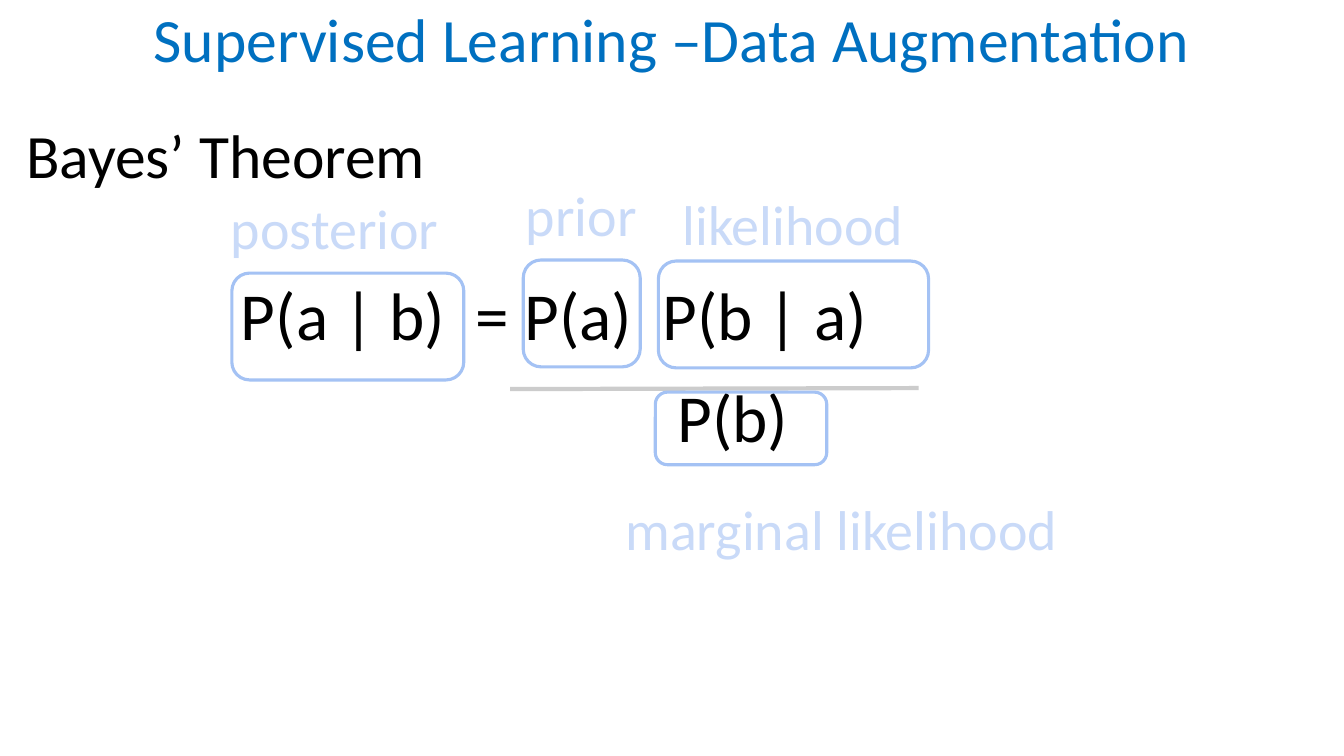
from lxml.etree import SubElement
from pptx import Presentation
from pptx.dml.color import RGBColor
from pptx.enum.shapes import MSO_CONNECTOR, MSO_SHAPE
from pptx.enum.text import MSO_ANCHOR, PP_ALIGN
from pptx.oxml.ns import qn
from pptx.util import Inches, Pt

# Content: left, top, width, height in inches
TITLE = ("Supervised Learning –Data Augmentation", (0.38, -0.01, 12.57, 0.77))
HEADING = ("Bayes’ Theorem", (0.13, 1.11, 12.42, 0.84))
FORMULA_AREA = (1.59, 1.57, 11.51, 4.98)
FORMULA = [  # text, tab stops from the start of the formula
    ("P(a | b)\t= P(a)\tP(b | a)", (2.33, 4.18)),
    ("\tP(b)", (4.33,)),
]
FRACTION_BAR = (5.06, 3.86, 9.11, 3.85)
TERMS = [  # name, place of the name, frame around the term
    ("prior", (4.36, 1.66, 2.81, 1.06), (5.19, 2.58, 1.16, 1.06)),
    ("likelihood", (5.79, 1.75, 4.15, 1.06), (6.53, 2.59, 2.68, 1.06)),
    ("marginal likelihood", (5.14, 4.78, 6.41, 0.84), (6.5, 3.89, 1.7, 0.72)),
    ("posterior", (1.54, 1.79, 3.56, 1.06), (2.3, 2.71, 2.3, 1.06)),
]

THEME = {
    "font": "Calibri",
    "title": RGBColor(0x00, 0x70, 0xC0),
    "text": RGBColor(0x00, 0x00, 0x00),
    "label": RGBColor(0xC9, 0xDA, 0xF8),
    "frame": RGBColor(0xA4, 0xC2, 0xF4),
    "bar": RGBColor(0xCC, 0xCC, 0xCC),
    "heading_size": 44,
    "formula_size": 48,
    "label_size": 40,
}

presentation = Presentation()
presentation.slide_width = Inches(13.33)
presentation.slide_height = Inches(7.5)
slide = presentation.slides.add_slide(presentation.slide_layouts[6])


def inches(place):
    return [Inches(length) for length in place]


def add_text(lines, place, size, color, align=PP_ALIGN.LEFT, spacing=None,
             before=0, inset=(0.13, 0.13, 0.13, 0.13)):
    """Write lines of (text, tab stops) into one text box."""
    frame = slide.shapes.add_textbox(*inches(place)).text_frame
    frame.word_wrap = True
    frame.vertical_anchor = MSO_ANCHOR.TOP
    (frame.margin_left, frame.margin_top,
     frame.margin_right, frame.margin_bottom) = inches(inset)
    for index, (text, stops) in enumerate(lines):
        paragraph = frame.add_paragraph() if index else frame.paragraphs[0]
        paragraph.alignment = align
        if spacing:
            paragraph.line_spacing = spacing
        if index:
            paragraph.space_before = Pt(before)
        if stops:
            tabs = SubElement(paragraph._p.get_or_add_pPr(), qn("a:tabLst"))
            for stop in stops:
                SubElement(tabs, qn("a:tab"), pos=str(Inches(stop)), algn="l")
        run = paragraph.add_run()
        run.text = text
        run.font.name = THEME["font"]
        run.font.size = Pt(size)
        run.font.color.rgb = color


# Heading and formula
add_text([(HEADING[0], ())], HEADING[1], THEME["heading_size"], THEME["text"],
         spacing=0.9)
add_text(FORMULA, FORMULA_AREA, THEME["formula_size"], THEME["text"],
         spacing=0.9, before=21, inset=(0.8, 1.23, 0.13, 0.13))

# Fraction bar
fraction_bar = slide.shapes.add_connector(MSO_CONNECTOR.STRAIGHT, *inches(FRACTION_BAR))
fraction_bar.line.color.rgb = THEME["bar"]
fraction_bar.line.width = Pt(3)
SubElement(fraction_bar._element.spPr, qn("a:effectLst"))

# Framed terms and their names
for name, name_place, frame_place in TERMS:
    term_frame = slide.shapes.add_shape(MSO_SHAPE.ROUNDED_RECTANGLE, *inches(frame_place))
    term_frame.shadow.inherit = False
    term_frame.fill.background()
    term_frame.line.color.rgb = THEME["frame"]
    term_frame.line.width = Pt(2.25)
    add_text([(name, ())], name_place, THEME["label_size"], THEME["label"],
             align=PP_ALIGN.CENTER)

# Slide title
add_text([(TITLE[0], ())], TITLE[1], THEME["heading_size"], THEME["title"],
         align=PP_ALIGN.CENTER, spacing=0.9, inset=(0.1, 0.1, 0.1, 0.1))

presentation.save("out.pptx")
